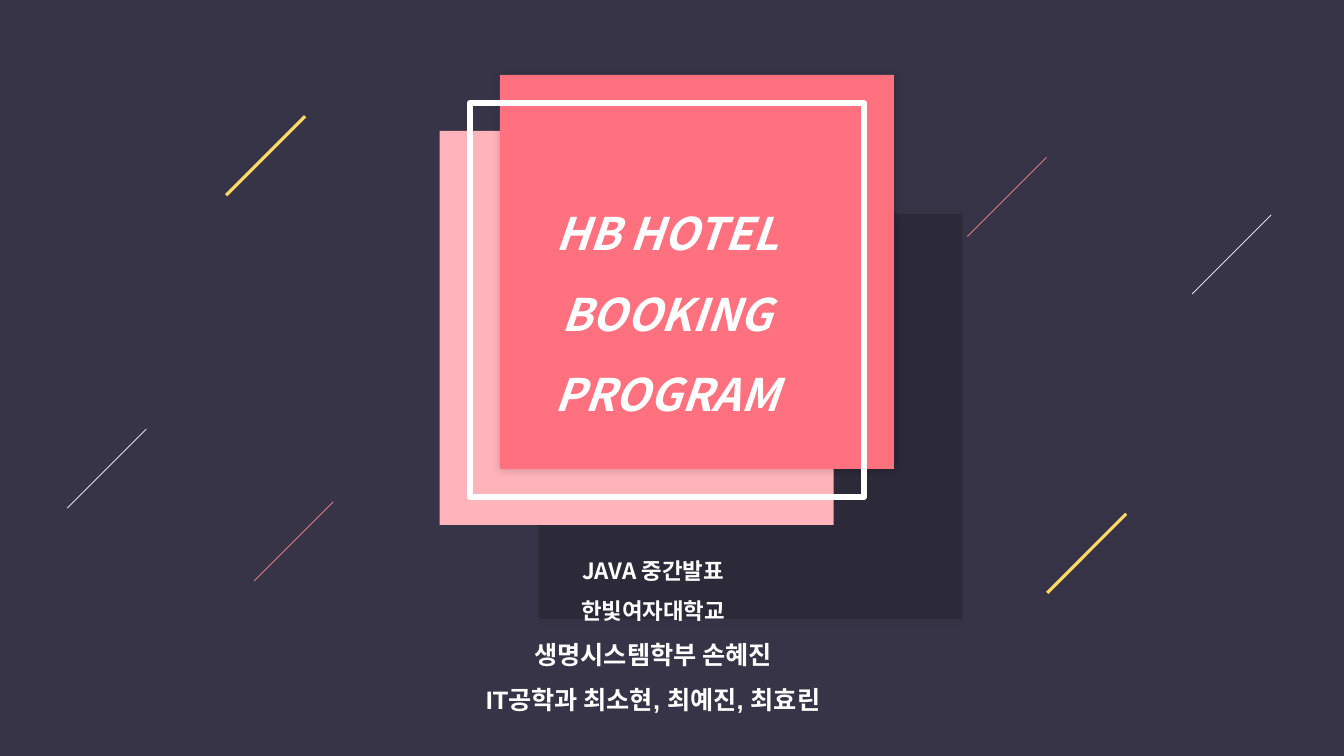
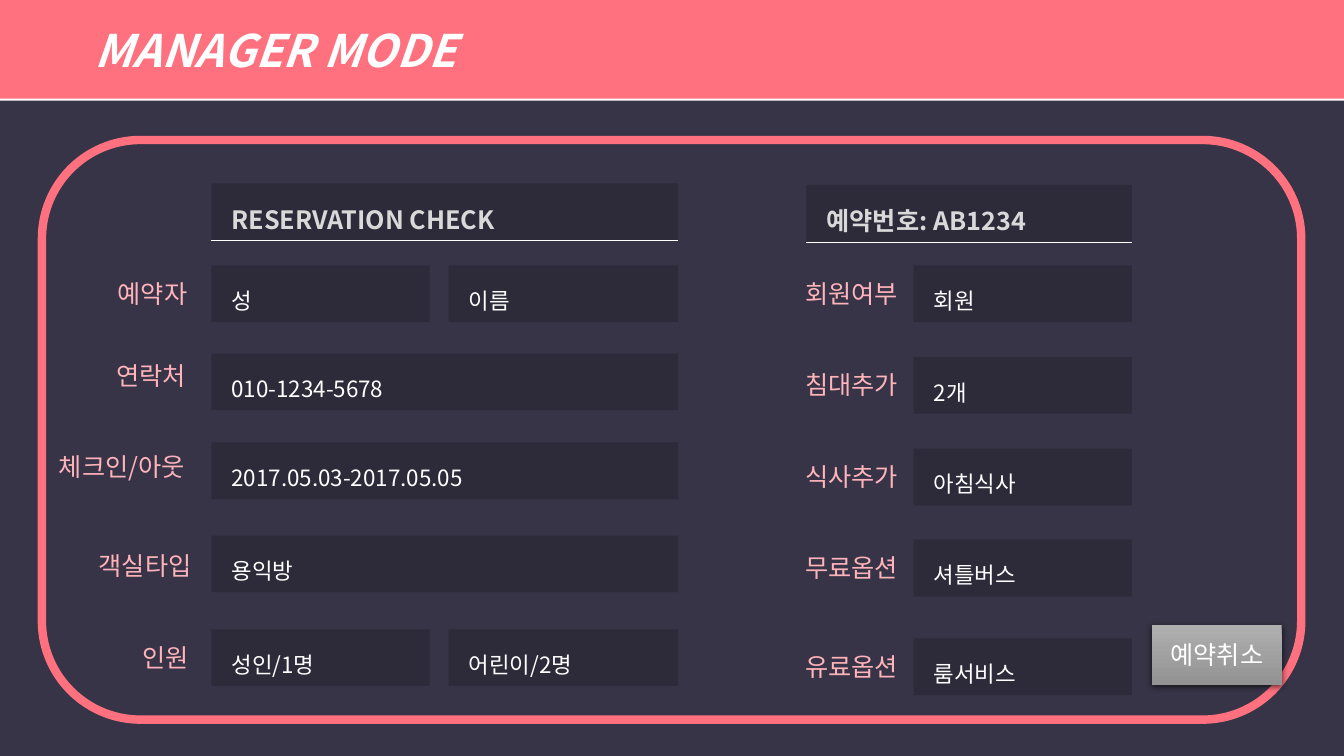
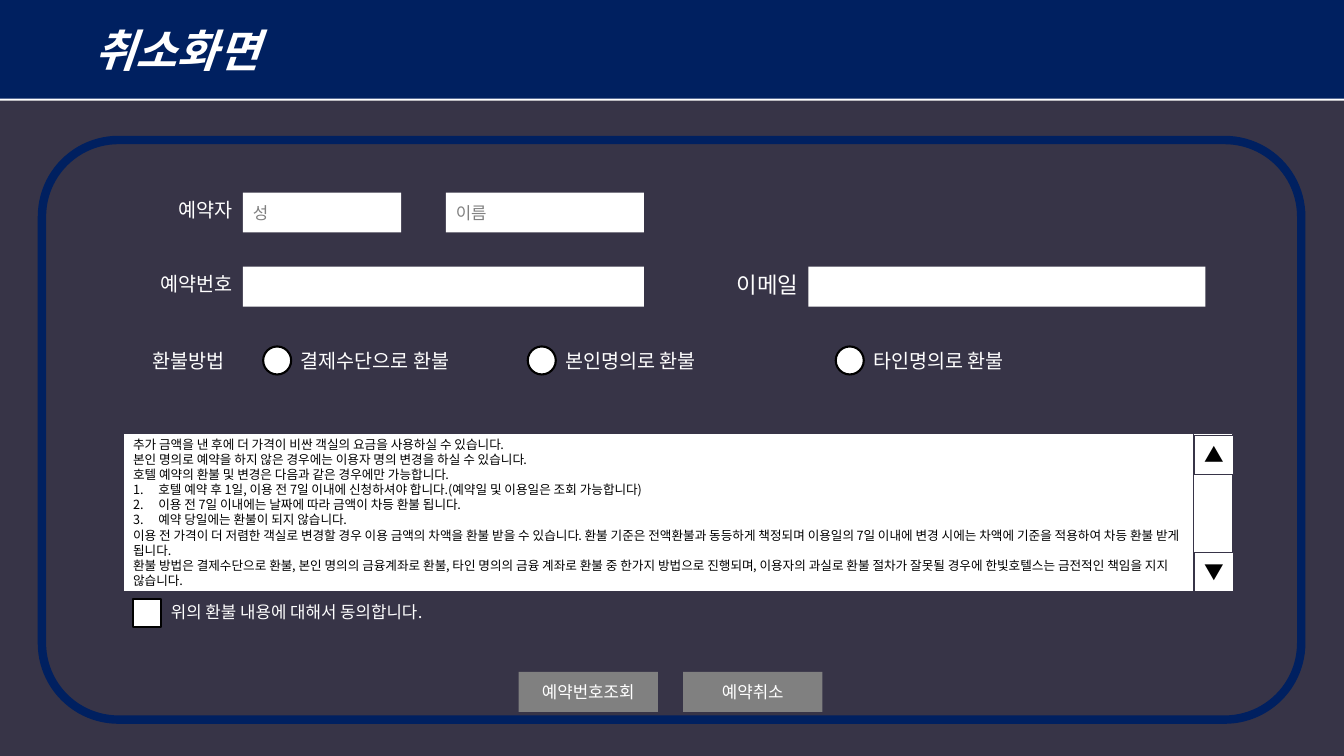
from dataclasses import dataclass
from typing import NamedTuple, Optional, Sequence

from lxml.etree import SubElement
from pptx import Presentation
from pptx.dml.color import RGBColor
from pptx.enum.shapes import MSO_CONNECTOR, MSO_SHAPE
from pptx.enum.text import MSO_ANCHOR, PP_ALIGN
from pptx.oxml.ns import qn
from pptx.util import Pt


@dataclass(frozen=True)
class Theme:
    font: str = "Noto Sans CJK KR"
    latin: str = "Arial"
    night: str = "373447"
    field: str = "2D2A3A"
    coral: str = "FF717F"
    blush: str = "FFB3BA"
    rose: str = "FF8B96"
    yellow: str = "FFD966"
    navy: str = "002060"
    white: str = "FFFFFF"
    black: str = "000000"
    silver: str = "D9D9D9"
    gray: str = "808080"
    button_top: str = "AFAFAF"
    button_bottom: str = "939393"
    title: int = 32
    heading: int = 18
    body: int = 16
    option: int = 14
    small: int = 12
    fine: int = 9


T = Theme()


class Box(NamedTuple):
    x: float
    y: float
    w: float
    h: float


class Style(NamedTuple):
    size: int
    color: str
    bold: bool = False
    italic: bool = False
    latin: str = T.font


class Line(NamedTuple):
    text: str
    style: Style
    numbered: bool = False


class Layout(NamedTuple):
    """Insets run left, top, right, bottom."""
    align: PP_ALIGN = PP_ALIGN.LEFT
    anchor: MSO_ANCHOR = MSO_ANCHOR.MIDDLE
    spacing: float = 1.0
    insets: tuple[float, float, float, float] = (7.2, 3.6, 7.2, 3.6)


class Shadow(NamedTuple):
    alpha: int
    blur: float
    distance: float
    angle: int


class Streak(NamedTuple):
    x: float
    y: float
    color: str
    width: float


class Row(NamedTuple):
    """One label with its fields; label_dy is measured from the field top."""
    label: str
    y: float
    label_x: float
    label_w: float
    label_dy: float
    values: tuple[str, ...]


TITLE = Style(T.title, T.white, bold=True, italic=True)
HEADING = Style(T.heading, T.silver, bold=True)
LABEL = Style(T.heading, T.blush)
VALUE = Style(T.body, T.white)
OPTION = Style(T.option, T.white)
HINT = Style(T.small, T.gray)
SMALL = Style(T.small, T.white)
FINE = Style(T.fine, T.black)

LEFT = Layout()
CENTER = Layout(PP_ALIGN.CENTER)
TOP_LEFT = Layout(anchor=MSO_ANCHOR.TOP)
TOP_RIGHT = Layout(PP_ALIGN.RIGHT, MSO_ANCHOR.TOP)
PADDED = Layout(spacing=1.5, insets=(14.4, 3.6, 14.4, 3.6))
COVER = PADDED._replace(align=PP_ALIGN.CENTER)
CREDITS = COVER._replace(insets=(0, 0, 0, 0))
BAND = Layout(insets=(67.5, 3.6, 14.4, 3.6))

SOFT = Shadow(20, 6, 0, 315)
BUTTON_SHADOW = Shadow(63, 4.5, 1.5, 90)


def rgb(color: str) -> RGBColor:
    return RGBColor.from_string(color)


def write(sp, lines: Sequence[Line], layout: Layout) -> None:
    tf = sp.text_frame
    tf.word_wrap = True
    tf.vertical_anchor = layout.anchor
    tf.margin_left, tf.margin_top, tf.margin_right, tf.margin_bottom = map(Pt, layout.insets)
    for i, line in enumerate(lines):
        p = tf.add_paragraph() if i else tf.paragraphs[0]
        p.alignment = layout.align
        p.line_spacing = layout.spacing
        if line.numbered:
            pPr = p._p.get_or_add_pPr()
            pPr.set("marL", str(Pt(18)))
            pPr.set("indent", str(-Pt(18)))
            SubElement(pPr, qn("a:buAutoNum"), type="arabicPeriod")
        r = p.add_run()
        r.text = line.text
        style = line.style
        r.font.size = Pt(style.size)
        r.font.bold, r.font.italic = style.bold, style.italic
        r.font.color.rgb = rgb(style.color)
        r.font.name = style.latin
        SubElement(r._r.get_or_add_rPr(), qn("a:ea"), typeface=T.font)


def add_shadow(sp, shadow: Shadow, color: str = T.black) -> None:
    effects = sp._element.spPr.find(qn("a:effectLst"))
    outer = SubElement(effects, qn("a:outerShdw"), blurRad=str(Pt(shadow.blur)),
                       dist=str(Pt(shadow.distance)), dir=str(shadow.angle * 60000),
                       algn="ctr", rotWithShape="0")
    clr = SubElement(outer, qn("a:srgbClr"), val=color)
    SubElement(clr, qn("a:alpha"), val=str(shadow.alpha * 1000))


def add_block(shapes, box: Box, fill: Optional[str] = None, line: Optional[str] = None,
              width: float = 1, kind: MSO_SHAPE = MSO_SHAPE.RECTANGLE,
              shadow: Optional[Shadow] = None):
    sp = shapes.add_shape(kind, *map(Pt, box))
    sp.shadow.inherit = False
    if fill:
        sp.fill.solid()
        sp.fill.fore_color.rgb = rgb(fill)
    else:
        sp.fill.background()
    if line:
        sp.line.color.rgb = rgb(line)
        sp.line.width = Pt(width)
    else:
        sp.line.fill.background()
    if shadow:
        add_shadow(sp, shadow)
    return sp


def add_text(shapes, box: Box, lines: Sequence[Line], layout: Layout = TOP_LEFT) -> None:
    write(shapes.add_textbox(*map(Pt, box)), lines, layout)


def add_line(shapes, start: tuple[float, float], end: tuple[float, float],
             color: str, width: float) -> None:
    line = shapes.add_connector(MSO_CONNECTOR.STRAIGHT, *map(Pt, start + end))
    line.line.color.rgb = rgb(color)
    line.line.width = Pt(width)
    SubElement(line._element.spPr, qn("a:effectLst"))


def add_slide(prs):
    s = prs.slides.add_slide(prs.slide_layouts[6])
    s.background.fill.solid()
    s.background.fill.fore_color.rgb = rgb(T.night)
    return s


def add_screen(prs, title: str, color: str, corner: float):
    """Add a slide with the title band and the rounded frame."""
    s = add_slide(prs)
    add_block(s.shapes, Box(0, 0, 960, 72), T.white)
    write(add_block(s.shapes, Box(0, 0, 960, 70.5), color), [Line(title, TITLE)], BAND)
    frame = add_block(s.shapes, Box(30, 100, 899.5, 414), line=color, width=6,
                      kind=MSO_SHAPE.ROUNDED_RECTANGLE)
    frame.adjustments[0] = corner
    return s


def build_cover(prs) -> None:
    shapes = add_slide(prs).shapes
    side = 281.5
    backdrop = add_block(shapes, Box(385, 152.5, 302.5, 289.5), T.black, shadow=SOFT)
    clr = backdrop._element.spPr.find(qn("a:solidFill")).find(qn("a:srgbClr"))
    SubElement(clr, qn("a:alpha"), val="17000")
    add_block(shapes, Box(314, 93.5, side, side), T.blush)
    add_block(shapes, Box(357, 53.5, side, side), T.coral, shadow=SOFT)
    outline = add_block(shapes, Box(335.5, 73.5, side, side), line=T.white, width=4.5)
    write(outline, [Line(t, TITLE) for t in ("HB HOTEL", "BOOKING", "PROGRAM")], COVER)

    course = Style(T.body, T.white, bold=True)
    school = course._replace(latin=T.latin)
    team = school._replace(size=T.heading)
    add_text(shapes, Box(256, 395.5, 421, 108), [
        Line("JAVA 중간발표", course),
        Line("한빛여자대학교", school),
        Line("생명시스템학부 손혜진", team),
        Line("IT공학과 최소현, 최예진, 최효린", team),
    ], CREDITS)

    length = 56.5
    for k in (Streak(161.5, 83, T.yellow, 2.25), Streak(48, 306.5, T.white, 0.5),
              Streak(181.5, 358.5, T.rose, 0.5), Streak(748, 367, T.yellow, 2.25),
              Streak(851.5, 153.5, T.white, 0.5), Streak(691, 112.5, T.rose, 0.5)):
        add_line(shapes, (k.x + length, k.y), (k.x, k.y + length), k.color, k.width)


FIELD_H = 40.5


def add_field(shapes, x: float, y: float, w: float, text: str, style: Style = VALUE) -> None:
    write(add_block(shapes, Box(x, y, w, FIELD_H), T.field), [Line(text, style)], PADDED)


def add_heading(shapes, x: float, y: float, w: float, text: str) -> None:
    add_field(shapes, x, y, w, text, HEADING)
    add_line(shapes, (x, y + 41), (x + w, y + 41), T.white, 0.5)


def add_row(shapes, row: Row, columns: Sequence[tuple[float, float]]) -> None:
    for (x, w), value in zip(columns, row.values):
        add_field(shapes, x, row.y, w, value)
    add_text(shapes, Box(row.label_x, row.y + row.label_dy, row.label_w, 29),
             [Line(row.label, LABEL)])


def build_manager(prs) -> None:
    shapes = add_screen(prs, "MANAGER MODE", T.coral, 0.17).shapes
    left, wide = 151, 333.5
    halves = [(left, 156), (320.5, 164)]
    add_heading(shapes, left, 131, wide, "RESERVATION CHECK")
    for row in (
        Row("예약자", 189.5, 77, 75, 5.5, ("성", "이름")),
        Row("연락처", 252.5, 76, 77, 1.5, ("010-1234-5678",)),
        Row("체크인/아웃", 316, 35, 117.5, 3, ("2017.05.03-2017.05.05",)),
        Row("객실타입", 382.5, 63.5, 87, 7, ("용익방",)),
        Row("인원", 449.5, 94.5, 65.5, 5.5, ("성인/1명", "어린이/2명")),
    ):
        add_row(shapes, row, halves if len(row.values) > 1 else [(left, wide)])

    add_heading(shapes, 576, 132, 232.5, "예약번호: AB1234")
    for label, y, value in (("회원여부", 189.5, "회원"), ("침대추가", 255, "2개"),
                            ("식사추가", 320.5, "아침식사"), ("무료옵션", 385.5, "셔틀버스"),
                            ("유료옵션", 456, "룸서비스")):
        add_row(shapes, Row(label, y, 568, 93, 5.5, (value,)), [(652.5, 156)])

    cancel = add_block(shapes, Box(823, 446.5, 92.5, 42.5), T.button_top,
                       kind=MSO_SHAPE.ACTION_BUTTON_CUSTOM, shadow=BUTTON_SHADOW)
    cancel.fill.gradient()
    cancel.fill.gradient_angle = 270
    for stop, color in zip(cancel.fill.gradient_stops, (T.button_top, T.button_bottom)):
        stop.color.rgb = rgb(color)
    write(cancel, [Line("예약취소", Style(T.heading, T.white))], CENTER)


POLICY = [
    Line("추가 금액을 낸 후에 더 가격이 비싼 객실의 요금을 사용하실 수 있습니다.", FINE),
    Line("본인 명의로 예약을 하지 않은 경우에는 이용자 명의 변경을 하실 수 있습니다.", FINE),
    Line("호텔 예약의 환불 및 변경은 다음과 같은 경우에만 가능합니다.", FINE),
    Line("호텔 예약 후 1일, 이용 전 7일 이내에 신청하셔야 합니다."
         "(예약일 및 이용일은 조회 가능합니다)", FINE, True),
    Line("이용 전 7일 이내에는 날짜에 따라 금액이 차등 환불 됩니다.", FINE, True),
    Line("예약 당일에는 환불이 되지 않습니다.", FINE, True),
    Line("이용 전 가격이 더 저렴한 객실로 변경할 경우 이용 금액의 차액을 환불 받을 수 있습니다. "
         "환불 기준은 전액환불과 동등하게 책정되며 이용일의 7일 이내에 변경 시에는 차액에 기준을 "
         "적용하여 차등 환불 받게 됩니다.", FINE),
    Line("환불 방법은 결제수단으로 환불, 본인 명의의 금융계좌로 환불, 타인 명의의 금융 계좌로 "
         "환불 중 한가지 방법으로 진행되며, 이용자의 과실로 환불 절차가 잘못될 경우에 "
         "한빛호텔스는 금전적인 책임을 지지 않습니다.", FINE),
]


def build_cancel(prs) -> None:
    shapes = add_screen(prs, "취소화면", T.navy, 0.132).shapes
    input_h, mark = 28.5, 20
    for x, y, w, hint in ((173.5, 137.5, 113, "성"), (318.5, 137.5, 141.5, "이름"),
                          (173.5, 190.5, 286.5, ""), (577.5, 190.5, 283.5, "")):
        entry = add_block(shapes, Box(x, y, w, input_h), T.white)
        if hint:
            write(entry, [Line(hint, HINT)], LEFT)

    for right, y, text, style in ((173.5, 137.5, "예약자", OPTION),
                                  (173.5, 190.5, "예약번호", OPTION),
                                  (577.5, 190.5, "이메일", VALUE),
                                  (167.5, 245.5, "환불방법", OPTION)):
        add_text(shapes, Box(right - 86, y, 86, 24.5), [Line(text, style)], TOP_RIGHT)

    for x, text in ((188, "결제수단으로 환불"), (377, "본인명의로 환불"),
                    (597, "타인명의로 환불")):
        add_block(shapes, Box(x, 247.5, mark, mark), T.white, T.black, 1.5, MSO_SHAPE.OVAL)
        add_text(shapes, Box(x + 19.5, 245.5, 165, 24.5), [Line(text, OPTION)])

    policy = shapes.add_group_shape().shapes
    top, height, bar = 309.5, 113, 28
    write(add_block(policy, Box(88, top, 764.5, height), T.white, T.night), POLICY, LEFT)
    add_block(policy, Box(852.5, top, bar, height), T.white, T.night)
    for y, arrow in ((top + height - bar, "▼"), (top + 1.5, "▲")):
        write(add_block(policy, Box(853, y, bar, bar), T.white, T.night),
              [Line(arrow, Style(T.option, T.black))], CENTER)

    add_block(shapes, Box(95, 428, mark, mark), T.white, T.black, 1.5)
    add_text(shapes, Box(115, 426, 565, 22),
             [Line("위의 환불 내용에 대해서 동의합니다.", SMALL)])
    for x, text in ((370.5, "예약번호조회"), (488, "예약취소")):
        write(add_block(shapes, Box(x, 480, 99.5, input_h), T.gray), [Line(text, SMALL)], CENTER)


def main() -> None:
    prs = Presentation()
    prs.slide_width, prs.slide_height = Pt(960), Pt(540)
    build_cover(prs)
    build_manager(prs)
    build_cancel(prs)
    prs.save("out.pptx")


if __name__ == "__main__":
    main()
